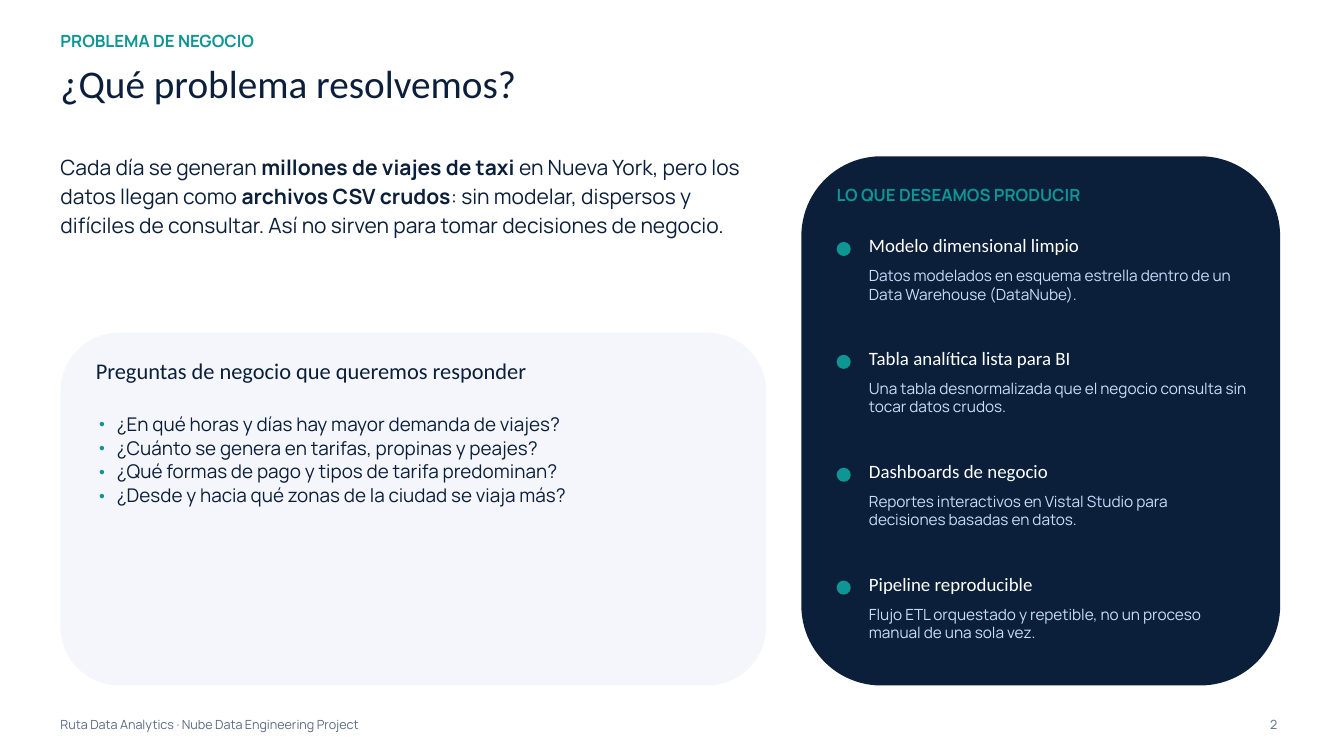
from dataclasses import dataclass

import pptx
import pptx.dml.color
import pptx.enum.shapes
import pptx.enum.text
import pptx.oxml
import pptx.oxml.ns
import pptx.util
from pptx.presentation import Presentation
from pptx.shapes.autoshape import Shape
from pptx.slide import Slide

Pt = pptx.util.Pt
SHAPES = pptx.enum.shapes.MSO_SHAPE

NAVY, TEAL, PALE, WHITE = "0B1F3A", "0E9594", "F4F6FB", "FFFFFF"
ICE, SLATE = "CADCFC", "5B6B85"
HEADING_FONT, BODY_FONT = "Calibri", "Manrope"

MARGIN = 64.8
GOALS_LEFT = 896.4
GOALS_TOP = 250.6
GOALS_STEP = 120.95


@dataclass(frozen=True)
class Frame:
    """Left, top, width and height in points."""
    left: float
    top: float
    width: float
    height: float

    def lengths(self) -> list[int]:
        return [Pt(value) for value in (self.left, self.top, self.width, self.height)]


@dataclass(frozen=True)
class Goal:
    name: str
    detail: str


QUESTIONS = [
    "¿En qué horas y días hay mayor demanda de viajes?",
    "¿Cuánto se genera en tarifas, propinas y peajes?",
    "¿Qué formas de pago y tipos de tarifa predominan?",
    "¿Desde y hacia qué zonas de la ciudad se viaja más?",
]

GOALS = [
    Goal("Modelo dimensional limpio",
         "Datos modelados en esquema estrella dentro de un Data Warehouse (DataNube)."),
    Goal("Tabla analítica lista para BI",
         "Una tabla desnormalizada que el negocio consulta sin tocar datos crudos."),
    Goal("Dashboards de negocio",
         "Reportes interactivos en Vistal Studio para decisiones basadas en datos."),
    Goal("Pipeline reproducible",
         "Flujo ETL orquestado y repetible, no un proceso manual de una sola vez."),
]


def color(value: str) -> pptx.dml.color.RGBColor:
    return pptx.dml.color.RGBColor.from_string(value)


def add_bullet(para, indent: float) -> None:
    properties = para._p.get_or_add_pPr()
    properties.set("marL", str(Pt(indent)))
    properties.set("indent", str(-Pt(indent)))
    namespace = pptx.oxml.ns.nsdecls("a")
    for xml in (
        f'<a:buClr {namespace}><a:srgbClr val="{TEAL}"/></a:buClr>',
        f'<a:buFont {namespace} typeface="{BODY_FONT}"/>',
        f'<a:buChar {namespace} char="•"/>',
    ):
        properties.append(pptx.oxml.parse_xml(xml))


def write_text(box: Shape, text: str, *, size: float, leading: float, fill: str = NAVY,
               font: str = BODY_FONT, bold: bool = False, bullet_indent: float = 0) -> None:
    """Write one paragraph per line; parts between ** marks switch the weight."""
    frame = box.text_frame
    frame.word_wrap = True
    frame.auto_size = pptx.enum.text.MSO_AUTO_SIZE.NONE
    frame.vertical_anchor = pptx.enum.text.MSO_ANCHOR.TOP
    frame.margin_left = frame.margin_top = frame.margin_right = frame.margin_bottom = 0
    for index, line in enumerate(text.split("\n")):
        para = frame.paragraphs[0] if index == 0 else frame.add_paragraph()
        para.alignment = pptx.enum.text.PP_ALIGN.LEFT
        para.line_spacing = Pt(leading)
        if bullet_indent:
            add_bullet(para, bullet_indent)
        for part, words in enumerate(line.split("**")):
            span = para.add_run()
            span.text = words
            span.font.name = font
            span.font.size = Pt(size)
            span.font.bold = bold != (part % 2 == 1)
            span.font.color.rgb = color(fill)


def add_text(page: Slide, frame: Frame, text: str, **text_format) -> None:
    write_text(page.shapes.add_textbox(*frame.lengths()), text, **text_format)


def add_filled(page: Slide, kind: SHAPES, frame: Frame, fill: str) -> Shape:
    shape = page.shapes.add_shape(kind, *frame.lengths())
    shape.shadow.inherit = False
    shape.fill.solid()
    shape.fill.fore_color.rgb = color(fill)
    shape.line.fill.background()
    return shape


def add_card(page: Slide, frame: Frame, fill: str) -> None:
    card = add_filled(page, SHAPES.ROUNDED_RECTANGLE, frame, fill)
    card.adjustments[0] = 1 / 6


def add_header(page: Slide) -> None:
    add_text(page, Frame(MARGIN, 33, 1188, 22), "PROBLEMA DE NEGOCIO",
             size=18, leading=21.6, fill=TEAL, bold=True)
    title = page.shapes.title
    title.left, title.top, title.width, title.height = Frame(MARGIN, 64, 1306.8, 51).lengths()
    write_text(title, "¿Qué problema resolvemos?", size=42, leading=50.4, font=HEADING_FONT)


def add_questions(page: Slide) -> None:
    add_text(page, Frame(MARGIN, 162, 756, 124.5),
             "Cada día se generan **millones de viajes de taxi** en Nueva York, pero los datos "
             "llegan como **archivos CSV crudos**: sin modelar, dispersos y difíciles de "
             "consultar. Así no sirven para tomar decisiones de negocio.",
             size=22.5, leading=31)
    add_card(page, Frame(MARGIN, 356.4, 756, 378), PALE)
    add_text(page, Frame(102.6, 382.4, 680.4, 29.5),
             "Preguntas de negocio que queremos responder",
             size=24, leading=28.8, font=HEADING_FONT)
    add_text(page, Frame(102.6, 440.6, 680.4, 103), "\n".join(QUESTIONS),
             size=20.25, leading=25.5, bullet_indent=22.5)


def add_goal(page: Slide, goal: Goal, top: float) -> None:
    text_left = GOALS_LEFT + 34.6
    add_filled(page, SHAPES.OVAL, Frame(GOALS_LEFT, top + 8.6, 15.1, 15.1), TEAL)
    add_text(page, Frame(text_left, top, 404.6, 23.8), goal.name,
             size=20.25, leading=24.3, fill=WHITE, font=HEADING_FONT)
    add_text(page, Frame(text_left, top + 34.6, 404.6, 39.6), goal.detail,
             size=16.5, leading=19.8, fill=ICE)


def add_goals(page: Slide) -> None:
    add_card(page, Frame(858.6, 167.4, 513, 567), NAVY)
    add_text(page, Frame(GOALS_LEFT, 198, 432, 22), "LO QUE DESEAMOS PRODUCIR",
             size=18, leading=21.6, fill=TEAL, bold=True)
    for index, goal in enumerate(GOALS):
        add_goal(page, goal, GOALS_TOP + index * GOALS_STEP)


def add_footer(page: Slide) -> None:
    small = {"size": 13.5, "leading": 16.2, "fill": SLATE}
    add_text(page, Frame(MARGIN, 768.2, 864, 17.3),
             "Ruta Data Analytics · Nube Data Engineering Project", **small)
    add_text(page, Frame(1360.8, 768.2, 43.2, 17.3), "2", **small)


def main() -> None:
    deck: Presentation = pptx.Presentation()
    deck.slide_width, deck.slide_height = Pt(1440), Pt(810)
    page = deck.slides.add_slide(deck.slide_layouts.get_by_name("Title Only"))
    page.background.fill.solid()
    page.background.fill.fore_color.rgb = color(WHITE)
    add_header(page)
    add_questions(page)
    add_goals(page)
    add_footer(page)
    deck.save("out.pptx")


if __name__ == "__main__":
    main()
